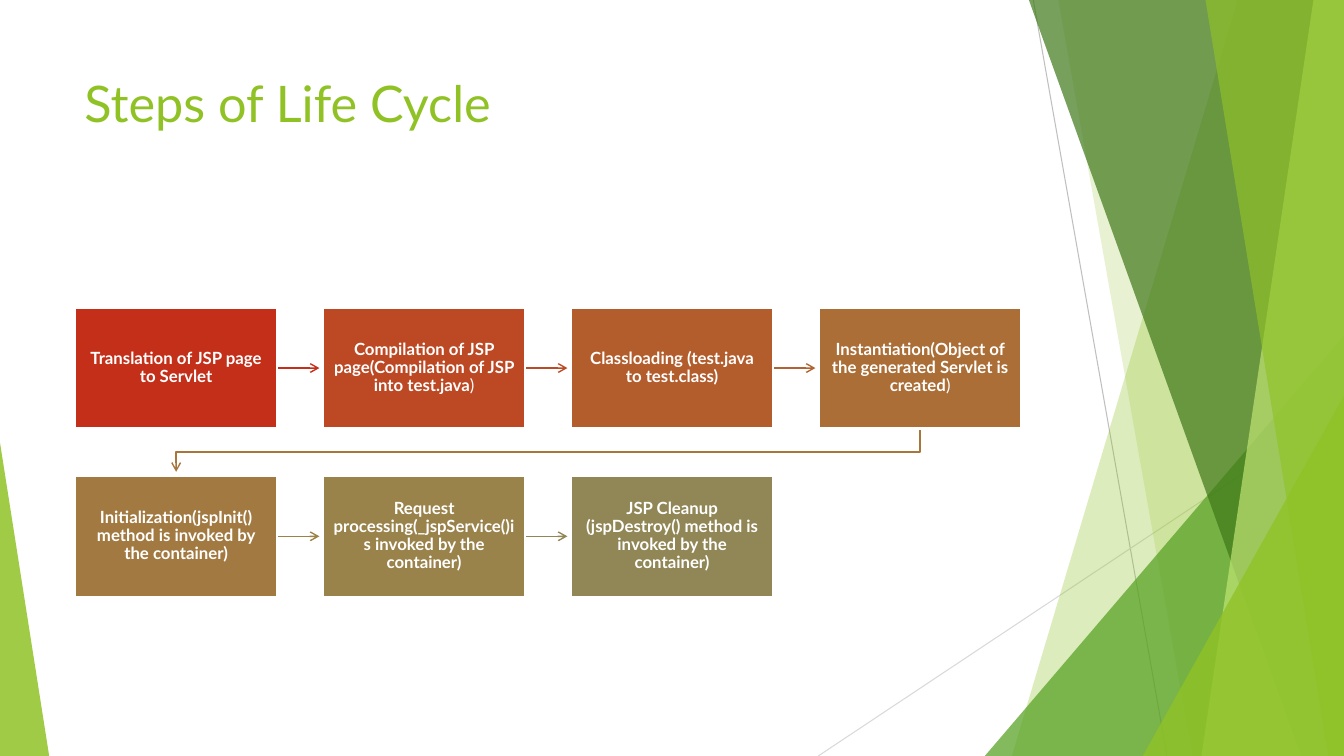
from pptx import Presentation
from pptx.dml.color import RGBColor
from pptx.enum.shapes import MSO_CONNECTOR, MSO_SHAPE
from pptx.enum.text import MSO_ANCHOR, PP_ALIGN
from pptx.oxml.ns import qn
from pptx.util import Cm, Pt
from lxml import etree

TRIANGLE = MSO_SHAPE.ISOSCELES_TRIANGLE
RECTANGLE = MSO_SHAPE.RECTANGLE
STRAIGHT = MSO_CONNECTOR.STRAIGHT
TOP, MIDDLE = MSO_ANCHOR.TOP, MSO_ANCHOR.MIDDLE
LEFT, CENTER = PP_ALIGN.LEFT, PP_ALIGN.CENTER

WIDTH, HEIGHT = 33.87, 19.05
FONT = "Lato"
COLORS = {
    "white": "FFFFFF", "lime": "90C226", "pale lime": "C0E474",
    "green": "54A021", "dark green": "3F7819",
    "gray": "BFBFBF", "light gray": "D9D9D9",
}

# text, regular-weight ending, box colour, colour of the arrow to the next step
STEPS = [
    ("Translation of JSP page to Servlet", "", "C42F1A", "C42F1A"),
    ("Compilation of JSP page(Compilation of JSP into test.java", ")", "BC4824", "BA4C25"),
    ("Classloading (test.java to test.class)", "", "B35D2D", "B06431"),
    ("Instantiation(Object of the generated Servlet is created", ")", "AB6E37", "A6763D"),
    ("Initialization(jspInit() method is invoked by the container)", "", "A27A41", "9C8149"),
    ("Request processing(_jspService()is invoked by the container)", "", "9A824B", "918655"),
    ("JSP Cleanup (jspDestroy() method is invoked by the container)", "", "918655", None),
]
COLUMNS = 4
STEP_WIDTH, STEP_HEIGHT = 5.08, 3.05
COLUMN_PITCH, ROW_PITCH = 6.25, 4.24
ARROW_CLEARANCE = 0.1


def rgb(color):
    return RGBColor.from_string(COLORS.get(color, color))


def paint(shape, color, opacity=100):
    """Fill a shape without outline or shadow; opacity is a percentage."""
    shape.shadow.inherit = False
    shape.line.fill.background()
    shape.fill.solid()
    shape.fill.fore_color.rgb = rgb(color)
    if opacity < 100:
        value = shape.fill._xPr.find(qn("a:solidFill"))[0]
        etree.SubElement(value, qn("a:alpha"), val=str(opacity * 1000))


def write(shape, text, ending="", size=12, color="white", bold=False,
          align=LEFT, anchor=TOP, line_spacing=1.0, space_after=0, insets=(0.25, 0.13)):
    frame = shape.text_frame
    frame.word_wrap = True
    frame.vertical_anchor = anchor
    frame.margin_left = frame.margin_right = Cm(insets[0])
    frame.margin_top = frame.margin_bottom = Cm(insets[1])
    para = frame.paragraphs[0]
    para.alignment = align
    para.line_spacing = line_spacing
    para.space_after = Pt(space_after)
    for content, weight in ((text, bold), (ending, False)):
        if content:
            span = para.add_run()
            span.text = content
            span.font.name = FONT
            span.font.size = Pt(size)
            span.font.bold = weight
            span.font.color.rgb = rgb(color)


def add_outline(page, points, close):
    corners = [(Cm(x), Cm(y)) for x, y in points]
    builder = page.shapes.build_freeform(*corners[0])
    builder.add_line_segments(corners[1:], close=close)
    return builder.convert_to_shape()


def add_thin_line(page, start, end, color):
    line = page.shapes.add_connector(STRAIGHT, *(Cm(value) for value in start + end))
    line.line.color.rgb = rgb(color)
    line.line.width = Pt(0.75)
    etree.SubElement(line._element.spPr, qn("a:effectLst"))


def add_band(page, top_left, top_right, bottom_left, color, opacity):
    """Draw a full-height band that ends at the right edge of the slide."""
    points = [(top_left, 0), (top_right, 0), (WIDTH, HEIGHT), (bottom_left, HEIGHT)]
    if top_right == WIDTH:
        points[2:2] = []
    paint(add_outline(page, points, True), color, opacity)


def add_triangle(page, left, width, height, apex, color, opacity):
    """Stand a triangle on the bottom edge; apex runs from 0 (left) to 1 (right)."""
    shape = page.shapes.add_shape(
        TRIANGLE, Cm(left), Cm(HEIGHT - height), Cm(width), Cm(height))
    shape.adjustments[0] = apex
    paint(shape, color, opacity)


def add_backdrop(page):
    add_thin_line(page, (26.04, 0), (29.41, HEIGHT), "gray")
    add_thin_line(page, (WIDTH, 10.24), (20.62, HEIGHT), "light gray")
    add_band(page, 31.19, WIDTH, 25.5, "lime", 30)
    add_band(page, 26.67, WIDTH, 30.05, "lime", 20)
    add_triangle(page, 24.82, 9.05, 10.59, 1, "green", 72)
    add_band(page, 25.93, WIDTH, 32.79, "dark green", 70)
    add_band(page, 33.1, WIDTH, 30.28, "pale lime", 70)
    add_band(page, 30.38, WIDTH, 33.48, "lime", 65)
    add_triangle(page, 28.8, 5.07, 9.07, 1, "lime", 80)
    add_triangle(page, 0, 1.24, 7.9, 0, "lime", 85)


def add_title(page, left, top, width, height):
    box = page.shapes.add_textbox(Cm(left), Cm(top), Cm(width), Cm(height))
    write(box, "Steps of Life Cycle", size=36, color="lime")


def add_arrow(page, points, color):
    arrow = add_outline(page, points, False)
    arrow.shadow.inherit = False
    arrow.fill.background()
    arrow.line.color.rgb = rgb(color)
    arrow.line.width = Pt(1)
    etree.SubElement(arrow.line._get_or_add_ln(), qn("a:tailEnd"), type="arrow")


def add_step(page, left, top, text, ending, color):
    box = page.shapes.add_shape(
        RECTANGLE, Cm(left), Cm(top), Cm(STEP_WIDTH), Cm(STEP_HEIGHT))
    paint(box, color)
    box.line.color.rgb = rgb("white")
    box.line.width = Pt(1.5)
    write(box, text, ending, bold=True, align=CENTER, anchor=MIDDLE,
          line_spacing=0.9, space_after=4.2, insets=(0.25, 0.25))


def add_process(page, left, top):
    """Lay the steps out row by row, each with an arrow to the next."""
    for index, (text, ending, color, arrow_color) in enumerate(STEPS):
        row, column = divmod(index, COLUMNS)
        x, y = left + column * COLUMN_PITCH, top + row * ROW_PITCH
        if arrow_color:
            if column < COLUMNS - 1:
                middle = y + STEP_HEIGHT / 2
                points = [(x + STEP_WIDTH, middle),
                          (x + COLUMN_PITCH - ARROW_CLEARANCE, middle)]
            else:
                start, end = x + STEP_WIDTH / 2, left + STEP_WIDTH / 2
                bend = y + (STEP_HEIGHT + ROW_PITCH) / 2
                points = [(start, y + STEP_HEIGHT), (start, bend), (end, bend),
                          (end, y + ROW_PITCH - ARROW_CLEARANCE)]
            add_arrow(page, points, arrow_color)
        add_step(page, x, y, text, ending, color)


def main():
    deck = Presentation()
    deck.slide_width, deck.slide_height = Cm(WIDTH), Cm(HEIGHT)
    page = deck.slides.add_slide(deck.slide_layouts[6])
    add_backdrop(page)
    add_title(page, 1.88, 1.7, 23.88, 3.66)
    add_process(page, 1.9, 7.75)
    deck.save("out.pptx")


if __name__ == "__main__":
    main()
